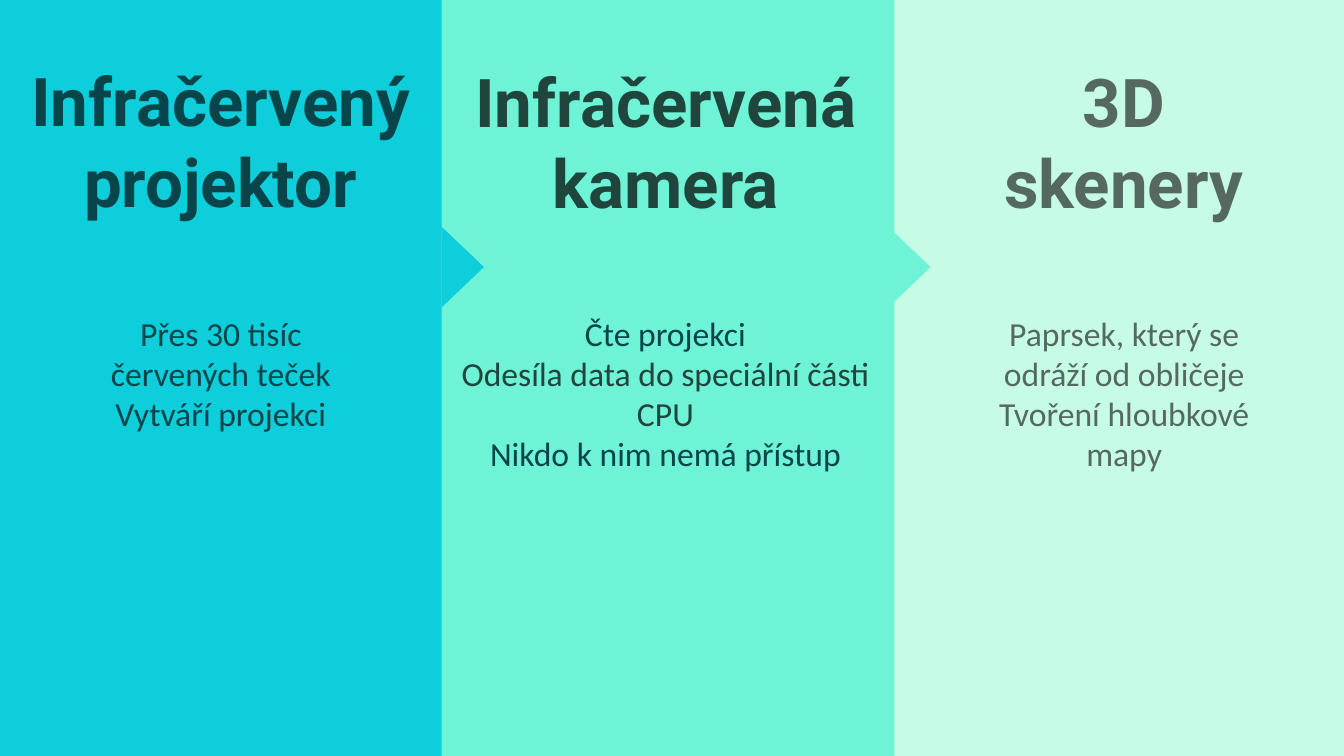
from pptx import Presentation
from pptx.dml.color import RGBColor
from pptx.enum.shapes import MSO_SHAPE as SHAPE
from pptx.enum.text import PP_ALIGN
from pptx.util import Inches, Pt

C = {
    "black": "000000",
    "cyan": "0DCEDA", "mint": "6EF3D6", "pale": "C6FCE5",
    "teal": "07454A", "green": "1F453D", "grey": "556960",
}

prs = Presentation()
prs.slide_width, prs.slide_height = Inches(13.33), Inches(7.5)
s = prs.slides.add_slide(prs.slide_layouts[6])
s.background.fill.solid()
s.background.fill.fore_color.rgb = RGBColor.from_string(C["black"])


def add_text(lines, x, y, w, h, size, font, bold=False):
    tf = s.shapes.add_textbox(Inches(x), Inches(y), Inches(w), Inches(h)).text_frame
    tf.word_wrap = True
    for i, (text, color) in enumerate(lines):
        p = tf.paragraphs[0] if i == 0 else tf.add_paragraph()
        p.alignment = PP_ALIGN.CENTER
        r = p.add_run()
        r.text = text
        r.font.size, r.font.name, r.font.bold = Pt(size), font, bold
        r.font.color.rgb = RGBColor.from_string(C[color])


def add_filled(kind, x, y, w, h, color, rotation=0):
    sp = s.shapes.add_shape(kind, Inches(x), Inches(y), Inches(w), Inches(h))
    sp.shadow.inherit = False
    sp.rotation = rotation
    sp.fill.solid()
    sp.fill.fore_color.rgb = RGBColor.from_string(C[color])
    sp.line.fill.background()


columns = [
    dict(fill="pale", panel=(8.84, 4.51), heading=(8.89, 0.55, 4.51), body=(9.65, 3),
         title=[("3D", "grey"), ("skenery", "grey")],
         lines=[("Paprsek, který se odráží od obličeje", "grey"),
                ("Tvoření hloubkové mapy", "grey")]),
    dict(fill="mint", panel=(4.36, 4.51), heading=(4.35, 0.55, 4.51), body=(4.35, 4.5),
         arrow=8.62, title=[("Infračervená kamera", "green")],
         lines=[("Čte projekci", "teal"),
                ("Odesíla data do speciální části CPU", "green"),
                ("Nikdo k nim nemá přístup", "teal")]),
    dict(fill="cyan", panel=(0, 4.38), heading=(0, 0.54, 4.38), body=(0.82, 2.74),
         arrow=4.19, title=[("Infračervený projektor", "teal")],
         lines=[("Přes 30 tisíc červených teček", "teal"),
                ("Vytváří projekci", "teal")]),
]

for col in columns:
    x, w = col["panel"]
    add_filled(SHAPE.RECTANGLE, x, 0, w, 7.5, col["fill"])
    x, y, w = col["heading"]
    add_text(col["title"], x, y, w, 1.72, 48, "Roboto", bold=True)
    x, w = col["body"]
    add_text(col["lines"], x, 3.05, w, 1.72, 24, "Calibri")
    if "arrow" in col:
        add_filled(SHAPE.ISOSCELES_TRIANGLE, col["arrow"], 2.44, 0.8, 0.42, col["fill"], rotation=90)

prs.save("out.pptx")
